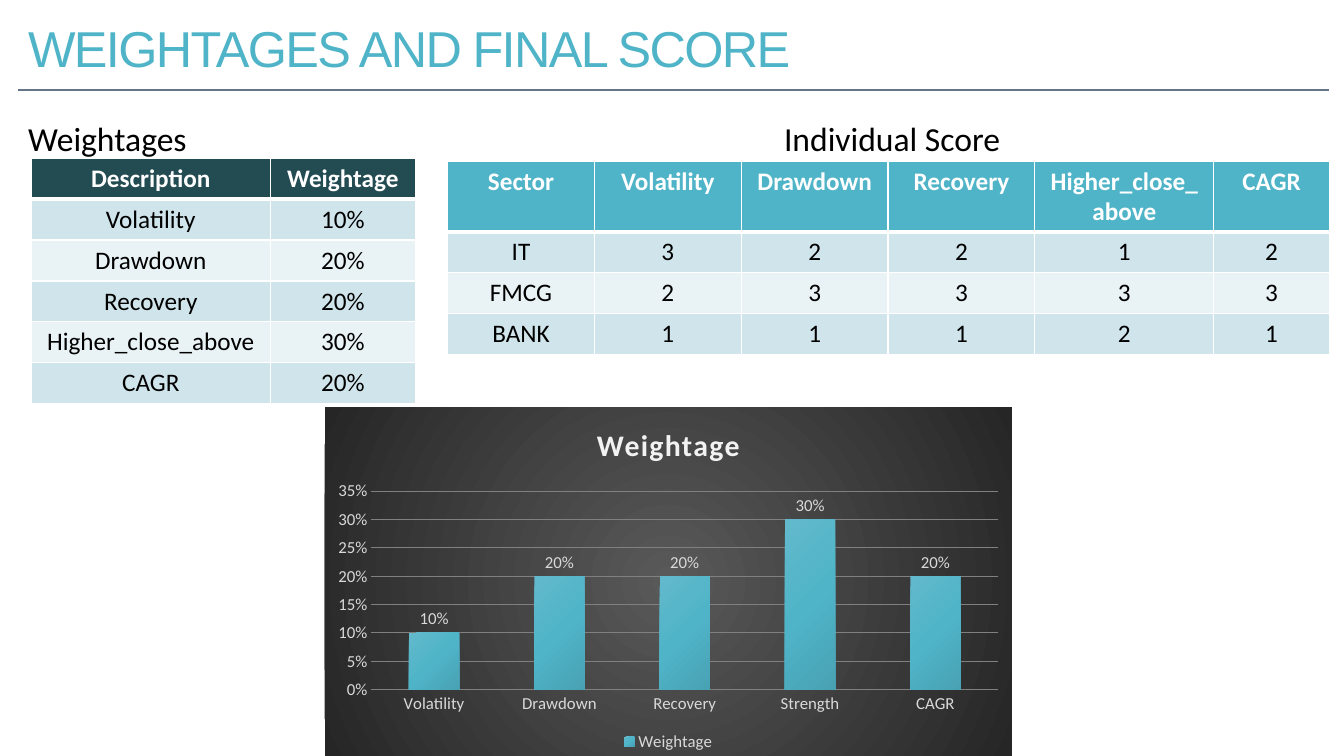
from dataclasses import dataclass

from lxml import etree
from pptx import Presentation
from pptx.chart.data import CategoryChartData
from pptx.dml.color import RGBColor
from pptx.enum.chart import XL_CHART_TYPE, XL_LABEL_POSITION, XL_LEGEND_POSITION, XL_TICK_MARK
from pptx.enum.shapes import MSO_CONNECTOR
from pptx.enum.text import MSO_ANCHOR, PP_ALIGN
from pptx.oxml.ns import qn
from pptx.util import Cm, Pt

COLUMNS = XL_CHART_TYPE.COLUMN_CLUSTERED
OUTSIDE = XL_LABEL_POSITION.OUTSIDE_END
BOTTOM = XL_LEGEND_POSITION.BOTTOM
NO_TICK = XL_TICK_MARK.NONE
STRAIGHT = MSO_CONNECTOR.STRAIGHT
TOP, MIDDLE = MSO_ANCHOR.TOP, MSO_ANCHOR.MIDDLE
CENTER = PP_ALIGN.CENTER

COLORS = {
    "accent": "50B4C8", "accent_light": "61B9CB", "accent_dark": "48A2B4",
    "header": "234B52", "band_odd": "D0E5EB", "band_even": "E9F2F5",
    "rule": "657689", "text": "000000", "white": "FFFFFF",
    "chart_title": "F2F2F2", "chart_text": "D9D9D9", "grid": "808080",
    "chart_center": "595959", "chart_edge": "262626",
}
BODY_FONT = "Calibri"
ROW_HEIGHT = 1.03


@dataclass
class TextBox:
    text: str
    left: float
    top: float
    width: float
    height: float
    size: float
    font: str
    color: str
    line_spacing: float
    anchor: MSO_ANCHOR
    letter_spacing: int = 0
    tab_stop: float = 0


@dataclass
class ScoreTable:
    left: float
    top: float
    widths: list[float]
    header_height: float
    header_color: str
    rows: list[list[str]]


TEXT_BOXES = [
    TextBox("WEIGHTAGES AND FINAL SCORE", 0.46, 0.79, 20.73, 1.04, 36, "Arial", "accent",
            0.85, MIDDLE, letter_spacing=-120),
    TextBox("Weightages\tIndividual Score", 0.46, 2.34, 33.05, 1.63, 24, BODY_FONT, "text",
            1.5, TOP, tab_stop=19.05),
]
TABLES = [
    ScoreTable(0.79, 3.99, [6.02, 3.66], ROW_HEIGHT, "header", [
        ["Description", "Weightage"],
        ["Volatility", "10%"],
        ["Drawdown", "20%"],
        ["Recovery", "20%"],
        ["Higher_close_above", "30%"],
        ["CAGR", "20%"],
    ]),
    ScoreTable(11.28, 4.06, [3.7] * 4 + [4.51, 2.91], 1.78, "accent", [
        ["Sector", "Volatility", "Drawdown", "Recovery", "Higher_close_above", "CAGR"],
        ["IT", "3", "2", "2", "1", "2"],
        ["FMCG", "2", "3", "3", "3", "3"],
        ["BANK", "1", "1", "1", "2", "1"],
    ]),
]
WEIGHTS = {"Volatility": 0.1, "Drawdown": 0.2, "Recovery": 0.2, "Strength": 0.3, "CAGR": 0.2}


def rgb(name: str) -> RGBColor:
    return RGBColor.from_string(COLORS[name])


def style_font(font, size: float, color: str, name: str = BODY_FONT, bold: bool = False) -> None:
    font.name, font.size, font.bold = name, Pt(size), bold
    font.color.rgb = rgb(color)


def add_text(slide, box: TextBox) -> None:
    shape = slide.shapes.add_textbox(Cm(box.left), Cm(box.top), Cm(box.width), Cm(box.height))
    frame = shape.text_frame
    frame.word_wrap = True
    frame.vertical_anchor = box.anchor
    paragraph = frame.paragraphs[0]
    paragraph.line_spacing = box.line_spacing
    if box.tab_stop:
        tabs = etree.SubElement(paragraph._p.get_or_add_pPr(), qn("a:tabLst"))
        etree.SubElement(tabs, qn("a:tab"), pos=str(Cm(box.tab_stop)), algn="l")
    run = paragraph.add_run()
    run.text = box.text
    style_font(run.font, box.size, box.color, box.font)
    if box.letter_spacing:
        run._r.get_or_add_rPr().set("spc", str(box.letter_spacing))


def add_rule(slide) -> None:
    rule = slide.shapes.add_connector(STRAIGHT, Cm(33.5), Cm(2.26), Cm(0.46), Cm(2.26))
    rule.line.color.rgb = rgb("rule")
    rule.line.width = Pt(1.5)
    etree.SubElement(rule._element.spPr, qn("a:effectLst"))


def set_borders(cell, bottom_width: float) -> None:
    properties = cell._tc.get_or_add_tcPr()
    widths = {"a:lnL": 1, "a:lnR": 1, "a:lnT": 1, "a:lnB": bottom_width}
    for position, (side, width) in enumerate(widths.items()):
        line = etree.Element(qn(side), w=str(Pt(width)))
        fill = etree.SubElement(line, qn("a:solidFill"))
        etree.SubElement(fill, qn("a:srgbClr"), val=COLORS["white"])
        properties.insert(position, line)


def add_score_table(slide, spec: ScoreTable) -> None:
    heights = [spec.header_height] + [ROW_HEIGHT] * (len(spec.rows) - 1)
    table = slide.shapes.add_table(len(spec.rows), len(spec.widths), Cm(spec.left), Cm(spec.top),
                                   Cm(sum(spec.widths)), Cm(sum(heights))).table
    for column, width in zip(table.columns, spec.widths):
        column.width = Cm(width)
    for index, values in enumerate(spec.rows):
        is_header = index == 0
        table.rows[index].height = Cm(heights[index])
        band = "band_odd" if index % 2 else "band_even"
        for cell, value in zip(table.rows[index].cells, values):
            cell.fill.solid()
            cell.fill.fore_color.rgb = rgb(spec.header_color if is_header else band)
            set_borders(cell, 3 if is_header else 1)
            paragraph = cell.text_frame.paragraphs[0]
            paragraph.alignment = CENTER
            run = paragraph.add_run()
            run.text = value
            style_font(run.font, 18, "white" if is_header else "text", bold=is_header)


def make_gradient(colors: list[str], angle: int | None = None):
    """Evenly spaced stops: linear at the angle, or circular from the centre without one."""
    gradient = etree.Element(qn("a:gradFill"), rotWithShape="1")
    stops = etree.SubElement(gradient, qn("a:gsLst"))
    for index, color in enumerate(colors):
        stop = etree.SubElement(stops, qn("a:gs"), pos=str(100000 * index // (len(colors) - 1)))
        etree.SubElement(stop, qn("a:srgbClr"), val=COLORS[color])
    if angle is None:
        circle = etree.SubElement(gradient, qn("a:path"), {"path": "circle"})
        etree.SubElement(circle, qn("a:fillToRect"), {side: "50000" for side in "ltrb"})
    else:
        etree.SubElement(gradient, qn("a:lin"), ang=str(angle * 60000), scaled="0")
    return gradient


def add_weight_chart(slide) -> None:
    data = CategoryChartData(number_format="0%")
    data.categories = list(WEIGHTS)
    data.add_series("Weightage", list(WEIGHTS.values()))
    chart = slide.shapes.add_chart(COLUMNS, Cm(8.18), Cm(10.26), Cm(17.32), Cm(8.79), data).chart
    style_font(chart.font, 10, "text")
    background = etree.Element(qn("c:spPr"))
    background.append(make_gradient(["chart_center", "chart_edge"]))
    border = etree.SubElement(background, qn("a:ln"))
    etree.SubElement(border, qn("a:noFill"))
    chart._chartSpace.find(qn("c:chart")).addnext(background)

    run = chart.chart_title.text_frame.paragraphs[0].add_run()
    run.text = "Weightage"
    style_font(run.font, 21.3, "chart_title", bold=True)
    run._r.get_or_add_rPr().set("spc", "100")
    chart.chart_title.include_in_layout = False
    chart.has_legend = True
    chart.legend.position = BOTTOM
    chart.legend.include_in_layout = False
    style_font(chart.legend.font, 12, "chart_text")

    for axis in (chart.category_axis, chart.value_axis):
        axis.major_tick_mark = axis.minor_tick_mark = NO_TICK
        axis.format.line.fill.background()
        style_font(axis.tick_labels.font, 12, "chart_text")
    values = chart.value_axis
    values.minimum_scale, values.maximum_scale, values.major_unit = 0, 0.35, 0.05
    values.tick_labels.number_format = "0%"
    values.tick_labels.number_format_is_linked = False
    values.major_gridlines.format.line.color.rgb = rgb("grid")
    values.major_gridlines.format.line.width = Pt(0.75)

    plot = chart.plots[0]
    plot.vary_by_categories = False
    plot.gap_width = 150
    series = plot.series[0]
    series._element.get_or_add_spPr().insert(
        0, make_gradient(["accent_light", "accent", "accent_dark"], angle=45))
    labels = series.data_labels
    labels.show_value = True
    labels.position = OUTSIDE
    labels.number_format = "0%"
    labels.number_format_is_linked = False
    style_font(labels.font, 12, "chart_text")


def main() -> None:
    presentation = Presentation()
    presentation.slide_width, presentation.slide_height = Cm(33.87), Cm(19.05)
    slide = presentation.slides.add_slide(presentation.slide_layouts[6])
    add_rule(slide)
    for box in TEXT_BOXES:
        add_text(slide, box)
    for table in TABLES:
        add_score_table(slide, table)
    add_weight_chart(slide)
    presentation.save("out.pptx")


if __name__ == "__main__":
    main()
